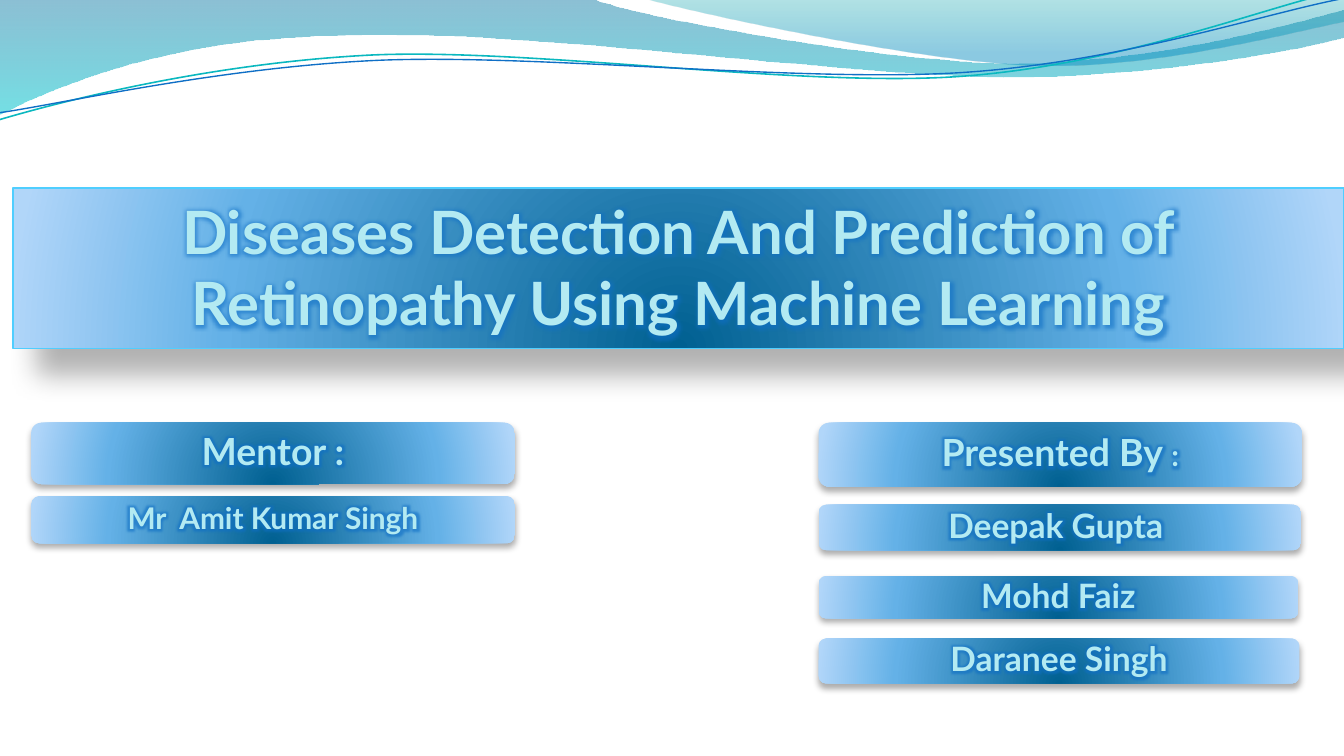
from pptx import Presentation
from pptx.dml.color import RGBColor
from pptx.enum.shapes import MSO_SHAPE
from pptx.enum.text import MSO_ANCHOR, PP_ALIGN
from pptx.oxml import parse_xml
from pptx.oxml.ns import nsdecls, qn
from pptx.util import Cm, Pt

FONT = "Lato"
INK = "B3EAF2"
GLOW = "0F6FC6"
BLUES = [(0, "006091", 100), (68, "64B1E7", 100), (100, "B1D6F9", 100)]
RADIAL = ('<a:path path="circle"><a:fillToRect l="50000" t="130000" '
          'r="50000" b="-30000"/></a:path>')
DOWN = '<a:lin ang="5400000" scaled="0"/>'

BAND = [(0, 0), (11.18, -0.03),
        (12.09, 0.33, 16.87, 1.19, 19.25, 1.19),
        (21.67, 1.19, 24.33, 0.48, 25.4, 0.18), (25.43, 0.69),
        (24.97, 0.84, 22.1, 1.45, 18.95, 1.45),
        (15.8, 1.42, 9.7, 0.53, 6.53, 0.66),
        (3.28, 0.69, 1.17, 1.57, -0.03, 2.16)]
SHEET = [(12.17, -0.03),
         (12.93, 0.2, 17.32, 1.17, 19.53, 1.24),
         (21.74, 1.32, 24.41, 0.61, 25.4, 0.41), (25.4, 0)]
TEAL = [(0, 2.26),
        (1.22, 1.9, 4.01, 1.19, 7.04, 1.04),
        (10.06, 0.91, 15.04, 1.65, 18.08, 1.45),
        (21.16, 1.24, 23.85, 0.15, 25.35, -0.18)]
BLUE = [(0, 2.13),
        (1.19, 1.96, 4.17, 1.27, 7.19, 1.14),
        (10.24, 1.02, 15.16, 1.57, 18.21, 1.37),
        (21.23, 1.17, 23.9, 0.25, 25.4, -0.03)]

LEFT, RIGHT = 0.59, 15.47
CARDS = [
    ((LEFT, 7.99, 9.14, 1.16), [("Mentor :", 20)]),
    ((LEFT, 9.38, 9.14, 0.89), [("Mr  Amit Kumar Singh", 16)]),
    ((RIGHT, 7.99, 9.14, 1.21), [("Presented By ", 20), (":", 16)]),
    ((RIGHT, 9.54, 9.12, 0.86), [("Deepak Gupta ", 18)]),
    ((RIGHT, 10.89, 9.07, 0.8), [("Mohd Faiz", 18)]),
    ((RIGHT, 12.07, 9.09, 0.85), [("Daranee Singh", 18)]),
]


def paint(color, text):
    color.rgb = RGBColor.from_string(text)


def tint(color, alpha):
    return (f'<a:srgbClr val="{color}">'
            f'<a:alpha val="{alpha * 1000}"/></a:srgbClr>')


def shade(shape, stops, course):
    shape.fill.solid()
    props = shape._element.spPr
    marks = "".join(f'<a:gs pos="{pos * 1000}">{tint(color, alpha)}</a:gs>'
                    for pos, color, alpha in stops)
    grad = parse_xml(f'<a:gradFill {nsdecls("a")} rotWithShape="1">'
                     f'<a:gsLst>{marks}</a:gsLst>{course}</a:gradFill>')
    props.replace(props.find(qn("a:solidFill")), grad)


def cast(shape, alpha, blur, dist, angle):
    shape.shadow.inherit = False
    effects = shape._element.spPr.find(qn("a:effectLst"))
    effects.append(parse_xml(
        f'<a:outerShdw {nsdecls("a")} blurRad="{Pt(blur)}" dist="{Pt(dist)}" '
        f'dir="{angle * 60000}" algn="tl" rotWithShape="0">'
        f'{tint("000000", alpha)}</a:outerShdw>'))


def bend(shape, line, leg):
    points = "".join(f'<a:pt x="{Cm(x) - shape.left}" y="{Cm(y) - shape.top}"/>'
                     for x, y in zip(leg[::2], leg[1::2]))
    line.getparent().replace(line, parse_xml(
        f'<a:cubicBezTo {nsdecls("a")}>{points}</a:cubicBezTo>'))


def draw(slide, legs, close):
    ends = [(Cm(leg[-2]), Cm(leg[-1])) for leg in legs]
    pen = slide.shapes.build_freeform(*ends[0])
    pen.add_line_segments(ends[1:], close=close)
    shape = pen.convert_to_shape()
    shape.shadow.inherit = False
    lines = list(shape._element.iter(qn("a:lnTo")))
    for line, leg in zip(lines, legs[1:]):
        if len(leg) == 6:
            bend(shape, line, leg)
    return shape


def add_wave(slide, legs, stops):
    wave = draw(slide, legs, True)
    shade(wave, stops, DOWN)
    wave.line.fill.background()


def add_curve(slide, legs, color, width):
    curve = draw(slide, legs, False)
    curve.fill.background()
    paint(curve.line.color, color)
    curve.line.width = Pt(width)


def write(shape, parts, space, anchor):
    frame = shape.text_frame
    frame.word_wrap = True
    frame.vertical_anchor = anchor
    para = frame.paragraphs[0]
    para.alignment = PP_ALIGN.CENTER
    para.line_spacing = space
    for text, size in parts:
        run = para.add_run()
        run.text = text
        font = run.font
        font.name, font.size, font.bold = FONT, Pt(size), True
        paint(font.color, INK)
        run._r.rPr.find(qn("a:solidFill")).addnext(parse_xml(
            f'<a:effectLst {nsdecls("a")}><a:glow rad="{Pt(8)}">'
            f'{tint(GLOW, 60)}</a:glow></a:effectLst>'))


def add_panel(slide, kind, box):
    panel = slide.shapes.add_shape(kind, *(Cm(n) for n in box))
    shade(panel, BLUES, RADIAL)
    return panel


def add_card(slide, box, parts):
    card = add_panel(slide, MSO_SHAPE.ROUNDED_RECTANGLE, box)
    card.line.fill.background()
    cast(card, 32, 3.5, 2.2, 90)
    left, top, width, height = box
    pad = 0.05
    label = slide.shapes.add_textbox(Cm(left + pad), Cm(top + pad),
                                     Cm(width - 2 * pad), Cm(height - 2 * pad))
    write(label, parts, 0.9, MSO_ANCHOR.MIDDLE)
    frame = label.text_frame
    frame.margin_left = frame.margin_right = Cm(0.19)
    frame.margin_top = frame.margin_bottom = Cm(0.1)


def add_title(slide, text):
    title = add_panel(slide, MSO_SHAPE.RECTANGLE, (0.25, 3.55, 25.15, 3.04))
    write(title, [(text, 32)], 1.0, MSO_ANCHOR.TOP)
    paint(title.line.color, "4FCEFF")
    title.line.width = Pt(1)
    cast(title, 30, 15, 18, 45)


def main():
    deck = Presentation()
    deck.slide_width, deck.slide_height = Cm(25.4), Cm(14.29)
    slide = deck.slides.add_slide(deck.slide_layouts[6])
    add_wave(slide, BAND, [(0, "0074A1", 45), (100, "00C6CF", 55)])
    add_wave(slide, SHEET, [(0, "00A1A9", 30), (80, "008BBF", 45)])
    add_curve(slide, TEAL, "0AB8BF", 0.85)
    add_curve(slide, BLUE, GLOW, 0.75)
    for box, parts in CARDS:
        add_card(slide, box, parts)
    add_title(slide, "Diseases Detection And Prediction of "
                     "Retinopathy Using Machine Learning")
    deck.save("out.pptx")


if __name__ == "__main__":
    main()
